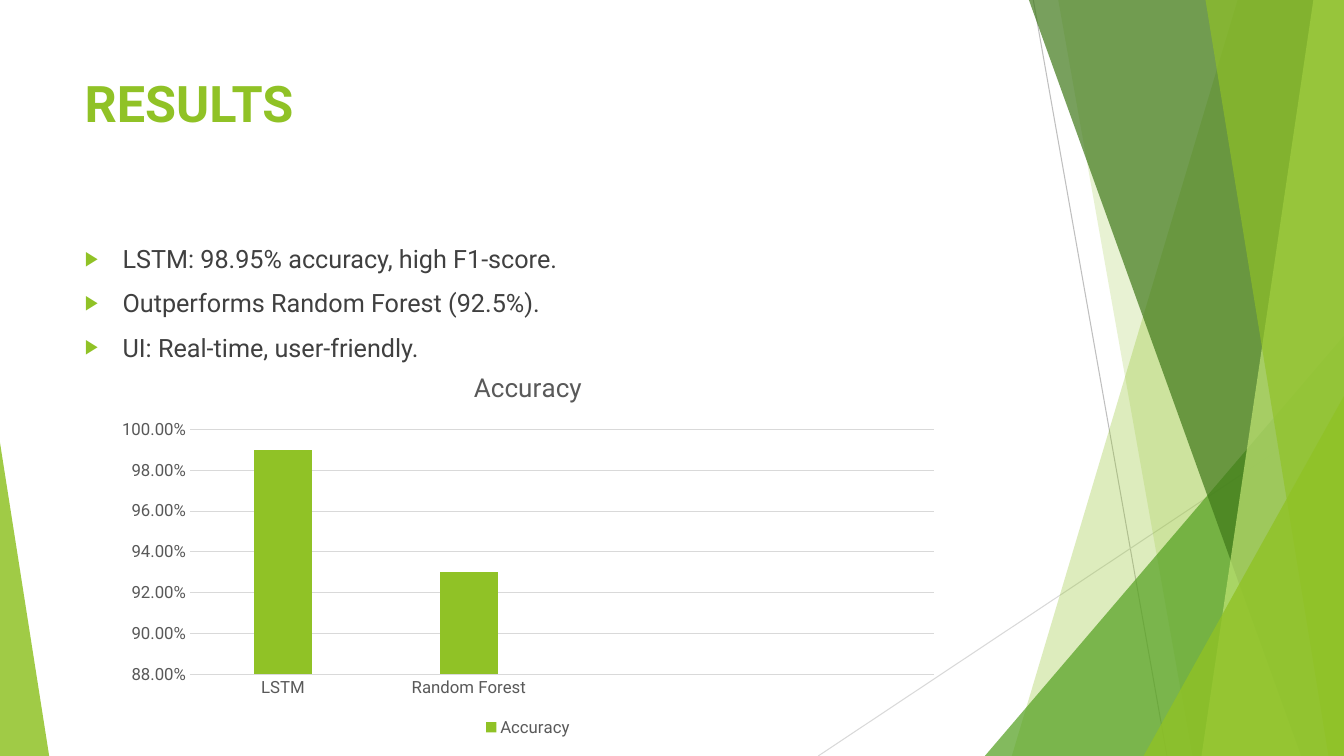
import lxml.etree
import pptx
import pptx.chart.data
import pptx.dml.color
import pptx.enum.chart
import pptx.enum.shapes
import pptx.enum.text
import pptx.oxml.ns
import pptx.util

Cm, Pt = pptx.util.Cm, pptx.util.Pt
RGBColor = pptx.dml.color.RGBColor
qn = pptx.oxml.ns.qn

LIME = RGBColor(0x90, 0xC2, 0x26)
GREEN = RGBColor(0x54, 0xA0, 0x21)
FOREST = RGBColor(0x3F, 0x78, 0x19)
PALE_LIME = RGBColor(0xC0, 0xE4, 0x74)
BODY_GREY = RGBColor(0x40, 0x40, 0x40)
CHART_GREY = RGBColor(0x59, 0x59, 0x59)
MID_GREY = RGBColor(0xBF, 0xBF, 0xBF)
LIGHT_GREY = RGBColor(0xD9, 0xD9, 0xD9)
FONT = "Roboto"

# Boxes in centimetres: left, top, width, height
SLIDE = (0, 0, 33.87, 19.05)
TITLE = (1.88, 1.7, 23.88, 3.66)
FINDINGS = (1.89, 6.01, 23.88, 10.77)
ACCURACY = (2.65, 8.88, 21.31, 9.8)


def set_font(font, size, color, bold=False):
    font.name, font.size, font.bold = FONT, Pt(size), bold
    font.color.rgb = color


def write(paragraph, text, size=18, color=BODY_GREY, bold=False, bullet=None):
    run = paragraph.add_run()
    run.text = text
    set_font(run.font, size, color, bold)
    paragraph.alignment = pptx.enum.text.PP_ALIGN.LEFT
    if bullet:
        paragraph.space_before = Pt(10)
        props = paragraph._p.get_or_add_pPr()
        props.set("marL", str(Cm(0.95)))
        props.set("indent", str(-Cm(0.95)))
        bullet_color = lxml.etree.SubElement(props, qn("a:buClr"))
        lxml.etree.SubElement(bullet_color, qn("a:srgbClr"), val=str(LIME))
        lxml.etree.SubElement(props, qn("a:buSzPct"), val="80000")
        lxml.etree.SubElement(props, qn("a:buFont"), typeface=FONT)
        lxml.etree.SubElement(props, qn("a:buChar"), char=bullet)


def tint(facet, color, opacity):
    facet.shadow.inherit = False
    facet.line.fill.background()
    facet.fill.solid()
    facet.fill.fore_color.rgb = color
    srgb = facet._element.spPr.find(qn("a:solidFill")).find(qn("a:srgbClr"))
    lxml.etree.SubElement(srgb, qn("a:alpha"), val=str(opacity * 1000))


def add_ray(slide, start, end, color):
    ray = slide.shapes.add_connector(
        pptx.enum.shapes.MSO_CONNECTOR.STRAIGHT, *map(Cm, start + end))
    ray.line.color.rgb = color
    ray.line.width = Pt(0.75)
    lxml.etree.SubElement(ray._element.spPr, qn("a:effectLst"))


def add_corner(slide, left, bottom, width, height, apex, color, opacity):
    corner = slide.shapes.add_shape(
        pptx.enum.shapes.MSO_SHAPE.ISOSCELES_TRIANGLE,
        Cm(left), Cm(bottom - height), Cm(width), Cm(height))
    corner.adjustments[0] = apex
    tint(corner, color, opacity)


def add_band(slide, box, top_reach, bottom_reach, color, opacity):
    """Fill from a slanted edge to the right side of the box."""
    left, top, width, height = box
    right, bottom = left + width, top + height
    outline = slide.shapes.build_freeform(Cm(right - top_reach), Cm(top))
    outline.add_line_segments([(Cm(right), Cm(top)), (Cm(right), Cm(bottom)),
                               (Cm(right - bottom_reach), Cm(bottom))])
    tint(outline.convert_to_shape(), color, opacity)


def add_facets(slide, box):
    left, top, width, height = box
    right, bottom = left + width, top + height
    # Thin rays
    add_ray(slide, (right - 7.83, top), (right - 4.46, bottom), MID_GREY)
    add_ray(slide, (right, bottom - 8.81), (right - 13.25, bottom), LIGHT_GREY)
    # Overlapping bands and corners on the right
    add_band(slide, box, 2.68, 8.37, LIME, 30)
    add_band(slide, box, 7.2, 3.82, LIME, 20)
    add_corner(slide, right - 9.05, bottom, 9.05, 10.59, 1, GREEN, 72)
    add_band(slide, box, 7.94, 1.08, FOREST, 70)
    add_band(slide, box, 0.77, 3.59, PALE_LIME, 70)
    add_band(slide, box, 3.49, 0.39, LIME, 65)
    add_corner(slide, right - 5.05, bottom, 5.05, 9.07, 1, LIME, 80)
    # Sliver on the left
    add_corner(slide, left, bottom, 1.24, 7.9, 0, LIME, 85)


def add_title(slide, box):
    title = slide.shapes.title
    title.left, title.top, title.width, title.height = map(Cm, box)
    title.text_frame.vertical_anchor = pptx.enum.text.MSO_ANCHOR.TOP
    write(title.text_frame.paragraphs[0], "RESULTS", size=36, color=LIME, bold=True)


def add_findings(slide, box):
    frame = slide.shapes.add_textbox(*map(Cm, box)).text_frame
    frame.word_wrap = True
    findings = ("LSTM: 98.95% accuracy, high F1-score.",
                "Outperforms Random Forest (92.5%).",
                "UI: Real-time, user-friendly.")
    for index, finding in enumerate(findings):
        paragraph = frame.add_paragraph() if index else frame.paragraphs[0]
        write(paragraph, finding, bullet="▶")


def add_accuracy_chart(slide, box):
    scores = pptx.chart.data.CategoryChartData(number_format="0.00%")
    scores.categories = ["LSTM", "Random Forest", "", ""]
    scores.add_series("Accuracy", (0.99, 0.93, None, None))
    chart = slide.shapes.add_chart(
        pptx.enum.chart.XL_CHART_TYPE.COLUMN_CLUSTERED, *map(Cm, box), scores).chart
    set_font(chart.font, 12, CHART_GREY)

    # Heading and legend
    chart.has_title = True
    write(chart.chart_title.text_frame.paragraphs[0], "Accuracy",
          size=18.6, color=CHART_GREY)
    chart.chart_title.include_in_layout = False
    chart.has_legend = True
    chart.legend.position = pptx.enum.chart.XL_LEGEND_POSITION.BOTTOM
    chart.legend.include_in_layout = False
    set_font(chart.legend.font, 12, CHART_GREY)

    # Columns
    plot = chart.plots[0]
    plot.gap_width, plot.overlap, plot.vary_by_categories = 219, -27, False
    columns = plot.series[0].format.fill
    columns.solid()
    columns.fore_color.rgb = LIME

    # Axes
    models, percent = chart.category_axis, chart.value_axis
    for axis in (models, percent):
        axis.major_tick_mark = pptx.enum.chart.XL_TICK_MARK.NONE
        axis.minor_tick_mark = pptx.enum.chart.XL_TICK_MARK.NONE
        set_font(axis.tick_labels.font, 12, CHART_GREY)
    percent.minimum_scale, percent.maximum_scale = 0.88, 1
    percent.major_unit = 0.02
    percent.has_major_gridlines = True
    percent.tick_labels.number_format = "0.00%"
    percent.tick_labels.number_format_is_linked = False
    percent.format.line.fill.background()
    for rule in (models.format.line, percent.major_gridlines.format.line):
        rule.color.rgb = LIGHT_GREY
        rule.width = Pt(0.75)


def main():
    deck = pptx.Presentation()
    deck.slide_width, deck.slide_height = Cm(SLIDE[2]), Cm(SLIDE[3])
    slide = deck.slides.add_slide(deck.slide_layouts[5])
    add_facets(slide, SLIDE)
    add_title(slide, TITLE)
    add_findings(slide, FINDINGS)
    add_accuracy_chart(slide, ACCURACY)
    deck.save("out.pptx")


if __name__ == "__main__":
    main()
